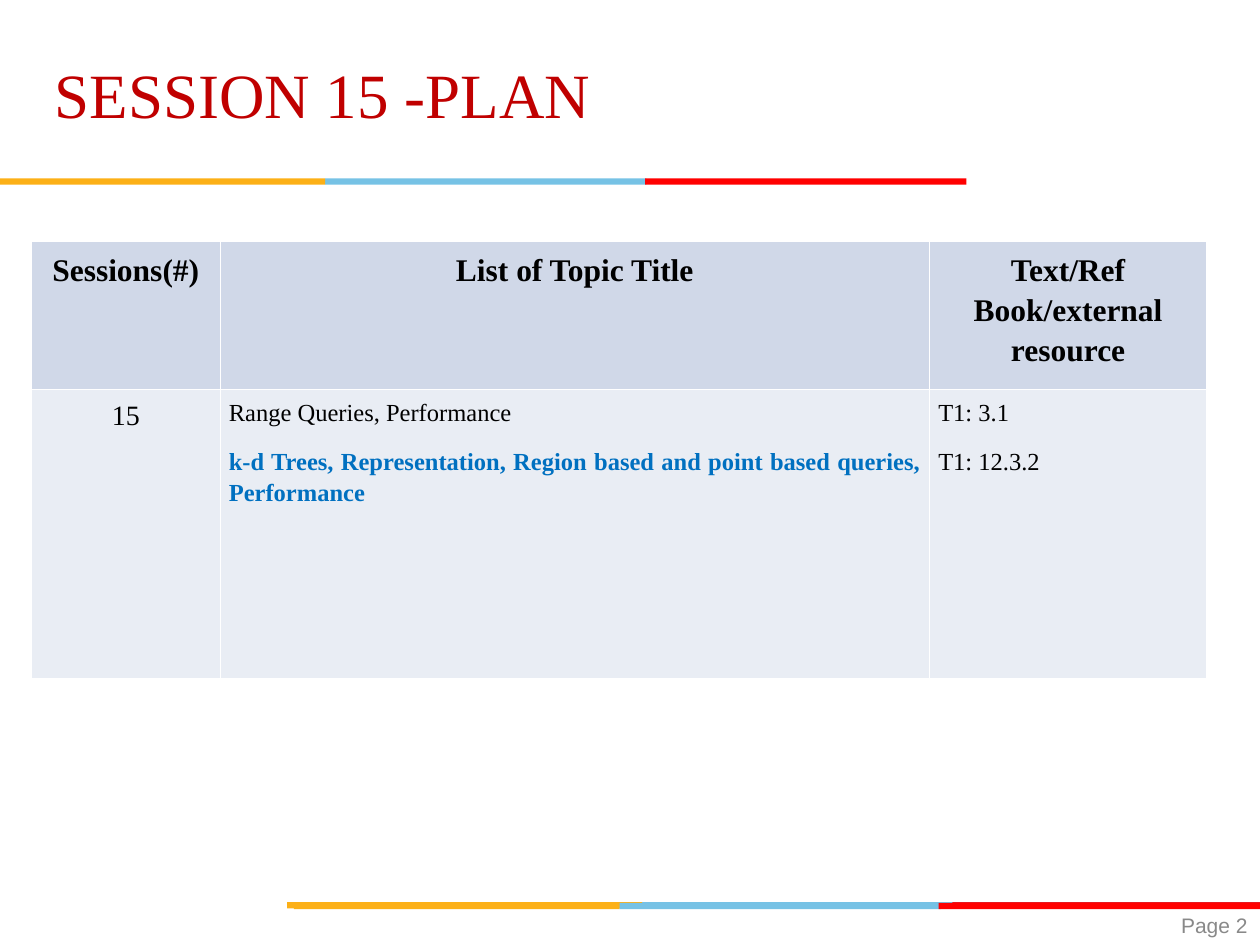
import pptx
import pptx.dml.color
import pptx.enum.shapes
import pptx.enum.text
import pptx.oxml
import pptx.util
from pptx.util import Pt

COLORS = {
    "title": "C00000", "text": "000000", "highlight": "0070C0", "page": "898989",
    "orange": "FCB017", "blue": "76C2E5", "red": "FF0000", "dark red": "E31C24",
    "header": "D0D8E8", "body": "E9EDF4", "border": "FFFFFF",
}
ALIGN = pptx.enum.text.PP_ALIGN
DRAWING_NS = "http://schemas.openxmlformats.org/drawingml/2006/main"


def color(name):
    return pptx.dml.color.RGBColor.from_string(COLORS[name])


def style(paragraph, font_name, size, color_name, align, bold=False):
    paragraph.alignment = align
    font = paragraph.font
    font.name, font.size, font.bold = font_name, Pt(size), bold
    font.color.rgb = color(color_name)


deck = pptx.Presentation()
deck.slide_width, deck.slide_height = Pt(720), Pt(540)
page = deck.slides.add_slide(deck.slide_layouts[5])

# Stripes above and below the content: left, top, width, colour
stripes = [
    (364.3, 515.5, 183.6, "blue"),
    (544.3, 515.5, 175.7, "dark red"),
    (164, 515.5, 203, "orange"),
    (354, 516, 183.6, "blue"),
    (168, 516, 186, "orange"),
    (536.4, 516, 183.6, "red"),
    (185.8, 102, 183.6, "blue"),
    (0, 102, 185.8, "orange"),
    (368.6, 102, 183.6, "red"),
]
for left, top, width, fill in stripes:
    stripe = page.shapes.add_shape(
        pptx.enum.shapes.MSO_SHAPE.RECTANGLE, Pt(left), Pt(top), Pt(width), Pt(3.6))
    stripe.shadow.inherit = False
    stripe.fill.solid()
    stripe.fill.fore_color.rgb = color(fill)
    stripe.line.fill.background()

# Title
title = page.shapes.title
title.left, title.top, title.width, title.height = Pt(24), Pt(12), Pt(498), Pt(90)
title.text_frame.text = "SESSION 15 -PLAN"
title.text_frame.vertical_anchor = pptx.enum.text.MSO_ANCHOR.MIDDLE
heading = title.text_frame.paragraphs[0]
heading.line_spacing = Pt(36)
style(heading, "Times New Roman", 36, "title", ALIGN.LEFT)

# Session plan: each cell holds its paragraphs, alignment and size
rows = [
    [(["Sessions(#)"], ALIGN.CENTER, 18),
     (["List of Topic Title"], ALIGN.CENTER, 18),
     (["Text/Ref Book/external resource"], ALIGN.CENTER, 18)],
    [(["15"], ALIGN.CENTER, 16),
     (["Range Queries, Performance",
       "k-d Trees, Representation, Region based and point based queries, Performance"],
      ALIGN.JUSTIFY, 14),
     (["T1: 3.1", "T1: 12.3.2"], ALIGN.LEFT, 14)],
]
column_widths = [107.8, 405.4, 158.4]
row_heights = [84.4, 165.2]
plan = page.shapes.add_table(
    len(rows), len(column_widths), Pt(18), Pt(138.2),
    Pt(sum(column_widths)), Pt(sum(row_heights))).table
plan.first_row = plan.horz_banding = False
for column, width in zip(plan.columns, column_widths):
    column.width = Pt(width)
for row, height in zip(plan.rows, row_heights):
    row.height = Pt(height)

for row_index, row in enumerate(rows):
    is_header = row_index == 0
    for column_index, (lines, align, size) in enumerate(row):
        cell = plan.cell(row_index, column_index)
        cell.margin_left = cell.margin_right = Pt(5)
        cell.margin_top = cell.margin_bottom = Pt(3.6)
        cell.text = "\n".join(lines)
        for line_index, para in enumerate(cell.text_frame.paragraphs):
            para.line_spacing = 1.15
            para.space_after = Pt(0 if is_header else 10)
            highlighted = column_index == 1 and line_index == 1
            style(para, "Times New Roman", size, "highlight" if highlighted else "text",
                  align, is_header or highlighted)
        properties = cell._tc.get_or_add_tcPr()
        for side in ("lnL", "lnR", "lnT", "lnB"):
            properties.append(pptx.oxml.parse_xml(
                f'<a:{side} xmlns:a="{DRAWING_NS}" w="{Pt(0.45)}"><a:solidFill>'
                f'<a:srgbClr val="{COLORS["border"]}"/></a:solidFill></a:{side}>'))
        cell.fill.solid()
        cell.fill.fore_color.rgb = color("header" if is_header else "body")

# Page number
box = page.shapes.add_textbox(Pt(552), Pt(517), Pt(168), Pt(23))
box.text_frame.word_wrap = True
box.text_frame.vertical_anchor = pptx.enum.text.MSO_ANCHOR.MIDDLE
box.text_frame.text = "Page 2"
style(box.text_frame.paragraphs[0], "Arial", 12, "page", ALIGN.RIGHT)

deck.save("out.pptx")
